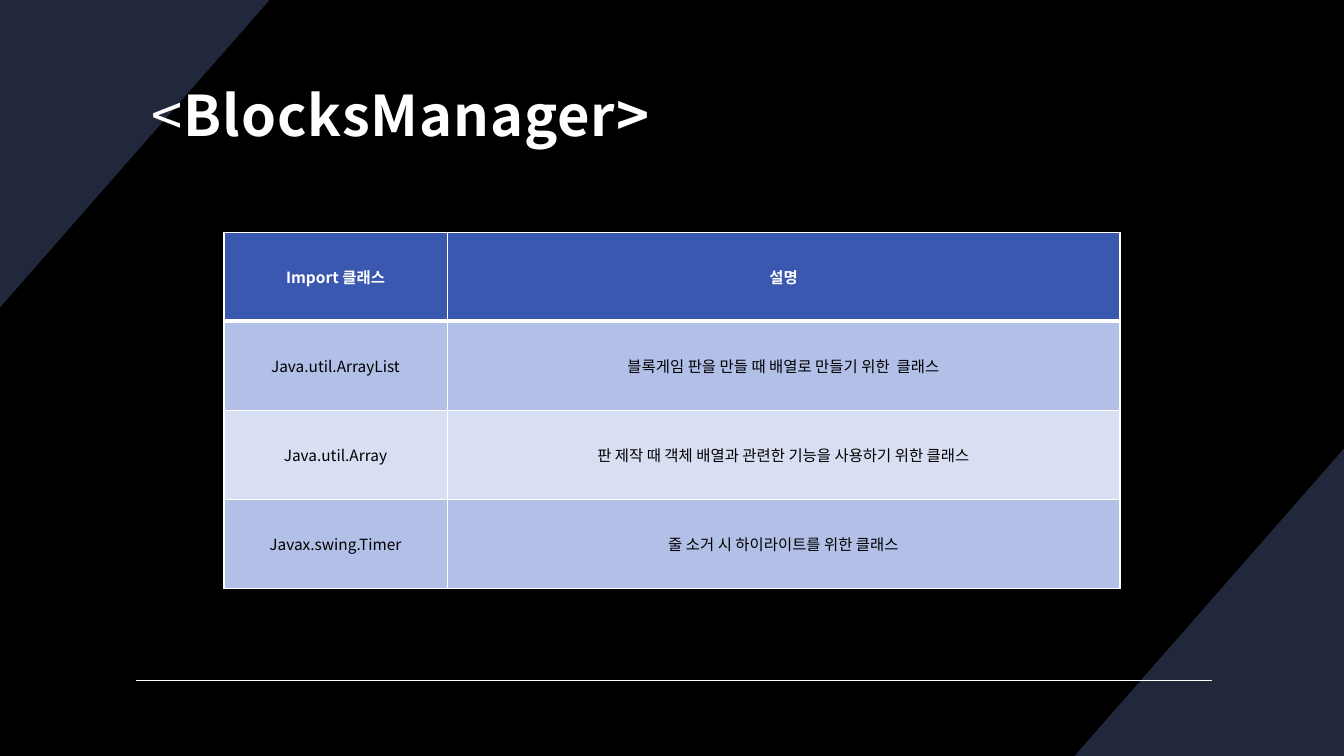
from dataclasses import dataclass

from lxml import etree
from pptx import Presentation
from pptx.dml.color import RGBColor
from pptx.enum.shapes import MSO_CONNECTOR
from pptx.enum.text import MSO_ANCHOR, MSO_AUTO_SIZE, PP_ALIGN
from pptx.oxml.ns import qn
from pptx.util import Pt

STRAIGHT = MSO_CONNECTOR.STRAIGHT
MIDDLE = MSO_ANCHOR.MIDDLE
NO_AUTOFIT = MSO_AUTO_SIZE.NONE
LEFT, CENTER = PP_ALIGN.LEFT, PP_ALIGN.CENTER


@dataclass(frozen=True)
class Theme:
    font: str = "Noto Sans CJK KR"
    background: str = "000000"
    corner: str = "22283C"
    light: str = "FFFFFF"
    dark: str = "000000"
    header: str = "3B58B1"
    bands: tuple = ("B2BFE6", "D9DFF2")
    title_size: int = 40
    table_size: int = 11


theme = Theme()


def style_paragraph(paragraph, size, color, alignment):
    paragraph.alignment = alignment
    paragraph.font.size = Pt(size)
    paragraph.font.name = theme.font
    paragraph.font.color.rgb = RGBColor.from_string(color)
    properties = paragraph._p.pPr.find(qn("a:defRPr"))
    etree.SubElement(properties, qn("a:ea"), typeface=theme.font)
    return properties


def add_border(cell, side, width):
    line = etree.SubElement(cell._tc.get_or_add_tcPr(), qn(f"a:ln{side}"), w=str(Pt(width)))
    fill = etree.SubElement(line, qn("a:solidFill"))
    etree.SubElement(fill, qn("a:srgbClr"), val=theme.light)


presentation = Presentation()
presentation.slide_width = Pt(960)
presentation.slide_height = Pt(540)
slide = presentation.slides.add_slide(presentation.slide_layouts[5])
slide.background.fill.solid()
slide.background.fill.fore_color.rgb = RGBColor.from_string(theme.background)

corners = [
    [(960, 320.4), (960, 540), (767.5, 540)],
    [(0, 219.6), (0, 0), (192.5, 0)],
]
for corner in corners:
    points = [(Pt(x), Pt(y)) for x, y in corner]
    builder = slide.shapes.build_freeform(*points[0])
    builder.add_line_segments(points[1:], close=True)
    triangle = builder.convert_to_shape()
    triangle.shadow.inherit = False
    triangle.fill.solid()
    triangle.fill.fore_color.rgb = RGBColor.from_string(theme.corner)
    triangle.line.fill.background()

footer_line = slide.shapes.add_connector(STRAIGHT, Pt(97.2), Pt(486), Pt(865.6), Pt(486))
footer_line.line.color.rgb = RGBColor.from_string(theme.light)
footer_line.line.width = Pt(1)
etree.SubElement(footer_line.element.spPr, qn("a:effectLst"))

title = slide.shapes.title
slide.shapes.element.append(title.element)
title.left, title.top, title.width, title.height = Pt(90), Pt(23.8), Pt(780), Pt(107.2)
frame = title.text_frame
frame.word_wrap = True
frame.auto_size = NO_AUTOFIT
frame.vertical_anchor = MIDDLE
frame.margin_left, frame.margin_right = Pt(18.2), Pt(8.6)
frame.margin_top, frame.margin_bottom = Pt(10), Pt(6)
paragraph = frame.paragraphs[0]
paragraph.line_spacing = 1.1
style_paragraph(paragraph, theme.title_size, theme.light, LEFT).set("spc", "70")
for text, bold in [("<", False), ("BlocksManager>", True)]:
    run = paragraph.add_run()
    run.text = text
    run.font.bold = bold

rows = [
    ("Import 클래스", "설명"),
    ("Java.util.ArrayList", "블록게임 판을 만들 때 배열로 만들기 위한  클래스"),
    ("Java.util.Array", "판 제작 때 객체 배열과 관련한 기능을 사용하기 위한 클래스"),
    ("Javax.swing.Timer", "줄 소거 시 하이라이트를 위한 클래스"),
]
column_widths = [159.4, 480.6]
row_height = 63.6
table = slide.shapes.add_table(
    len(rows), len(column_widths), Pt(160), Pt(165.8),
    Pt(sum(column_widths)), Pt(row_height * len(rows)),
).table
for column, width in zip(table.columns, column_widths):
    column.width = Pt(width)
for row_index, texts in enumerate(rows):
    is_header = row_index == 0
    table.rows[row_index].height = Pt(row_height)
    border_widths = {
        "L": 1,
        "R": 1,
        "T": 3 if row_index == 1 else 1,
        "B": 3 if is_header else 1,
    }
    for column_index, text in enumerate(texts):
        cell = table.cell(row_index, column_index)
        cell.text = text
        cell.vertical_anchor = MIDDLE
        for side, width in border_widths.items():
            add_border(cell, side, width)
        cell.fill.solid()
        color = theme.header if is_header else theme.bands[(row_index - 1) % 2]
        cell.fill.fore_color.rgb = RGBColor.from_string(color)
        paragraph = cell.text_frame.paragraphs[0]
        style_paragraph(paragraph, theme.table_size, theme.light if is_header else theme.dark, CENTER)
        paragraph.font.bold = is_header

presentation.save("out.pptx")
